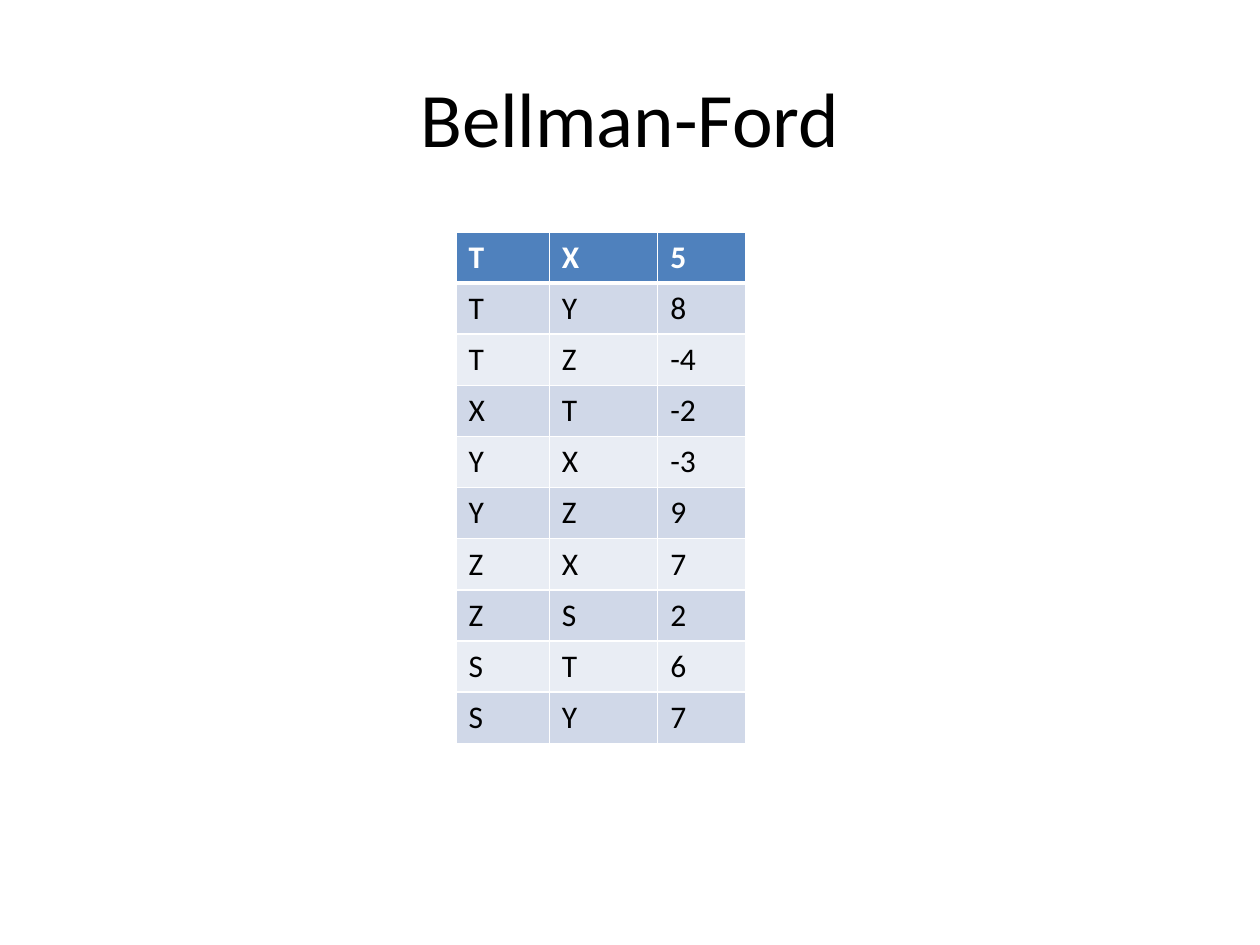
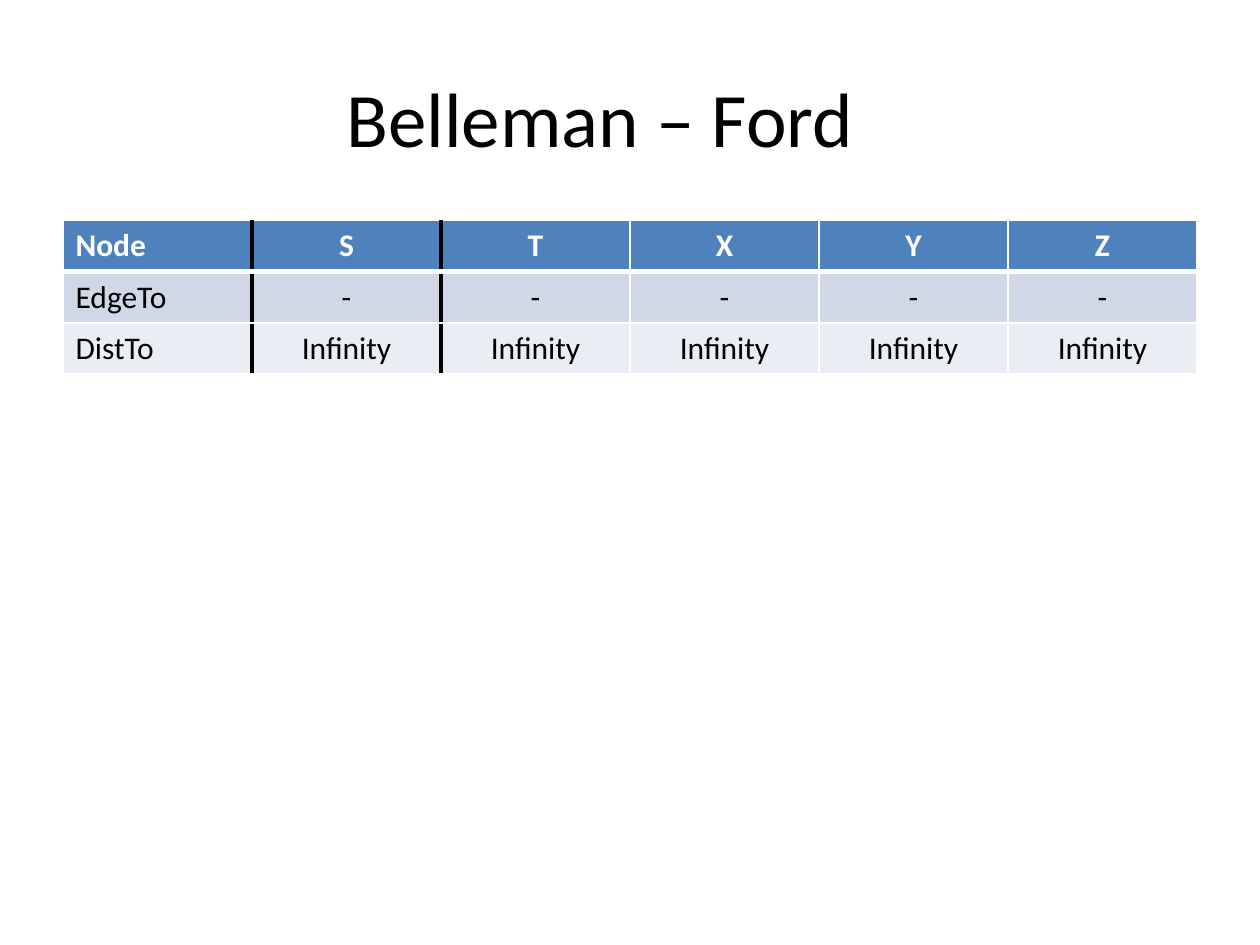
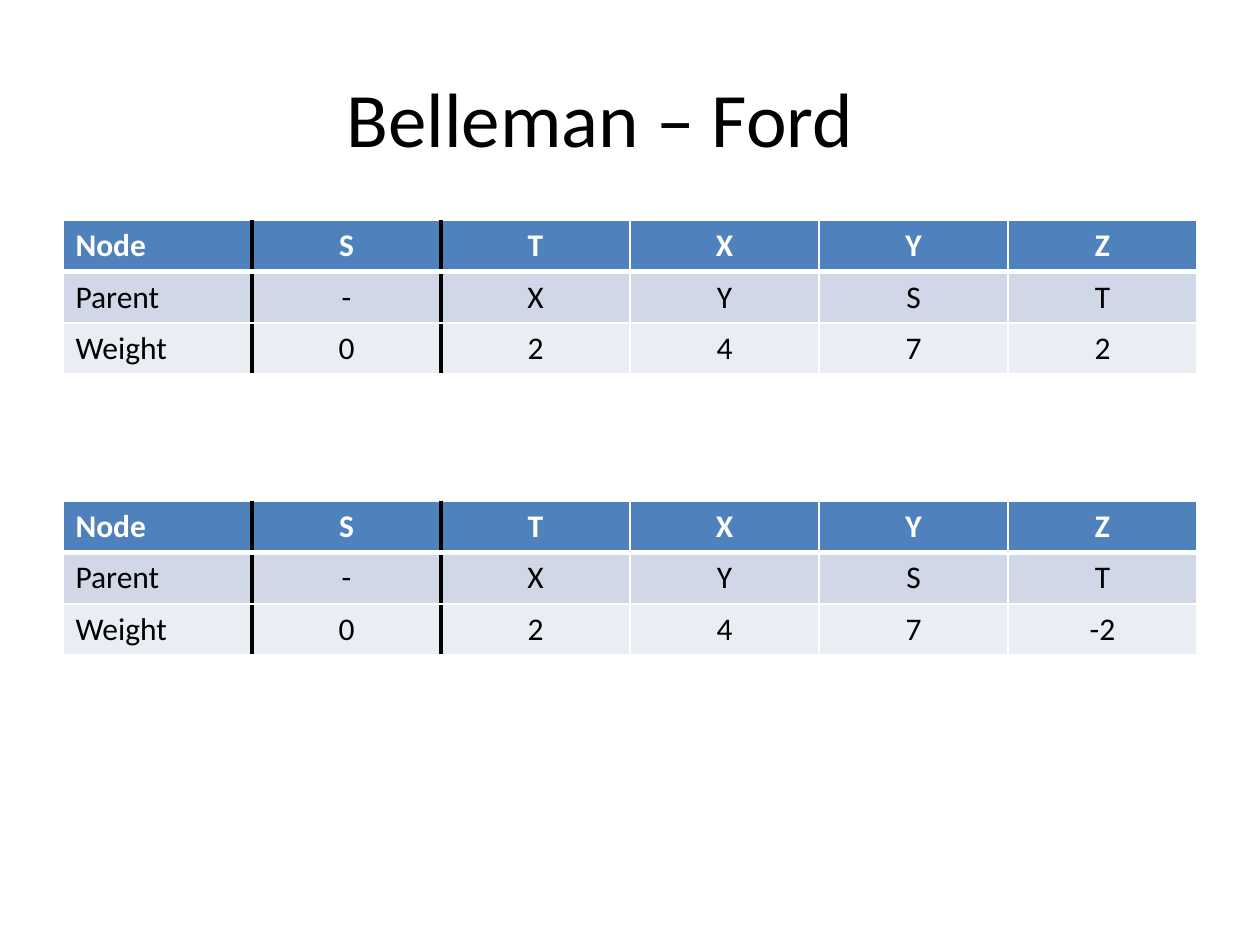
from dataclasses import dataclass

from lxml import etree
from pptx import Presentation
from pptx import util as u
from pptx.dml.color import RGBColor
from pptx.enum import text
from pptx.oxml import ns


@dataclass(frozen=True)
class Theme:
    font: str = "Calibri"
    title_size: int = 44
    table_size: int = 18
    ink: str = "000000"
    paper: str = "FFFFFF"
    header: str = "4F81BD"
    bands: tuple = ("D0D8E8", "E9EDF4")
    thin: int = 1
    thick: int = 3


@dataclass(frozen=True)
class Box:
    left: float
    top: float
    width: float
    height: float

    def lengths(self):
        return [u.Inches(value) for value in (self.left, self.top, self.width, self.height)]


THEME = Theme()
TITLE_BOX = Box(0.5, 0.3, 9, 1.25)
EDGE_BOX = Box(3.62, 1.84, 2.3, 4.06)
NODE_BOX = Box(0.5, 1.75, 9, 1.22)
LOWER_NODE_BOX = Box(0.5, 3.98, 9, 1.22)

EDGES = ["TX5", "TY8", ("T", "Z", "-4"), ("X", "T", "-2"), ("Y", "X", "-3"),
         "YZ9", "ZX7", "ZS2", "ST6", "SY7"]
NODES = ["Node", *"STXYZ"]
PARENTS = ["Parent", *"-XYST"]
START = [NODES, ["EdgeTo"] + ["-"] * 5, ["DistTo"] + ["Infinity"] * 5]
FIRST_PASS = [NODES, PARENTS, ["Weight", *"02472"]]
SECOND_PASS = [NODES, PARENTS, ["Weight", *"0247", "-2"]]


def set_values(target, values):
    for name, value in values.items():
        setattr(target, name, value)


def format_paragraph(paragraph, size, color, bold=False, align=text.PP_ALIGN.LEFT):
    paragraph.alignment = align
    set_values(paragraph.runs[0].font, {"name": THEME.font, "size": u.Pt(size), "bold": bold})
    paragraph.runs[0].font.color.rgb = RGBColor.from_string(color)


def set_border(cell, side, color, width):
    properties = cell._tc.get_or_add_tcPr()
    line = etree.SubElement(properties, ns.qn(f"a:ln{side}"), w=str(u.Pt(width)))
    fill = etree.SubElement(line, ns.qn("a:solidFill"))
    etree.SubElement(fill, ns.qn("a:srgbClr"), val=color)


def format_cell(cell, row, column, centered, ruled_edges):
    is_header = row == 0
    thin, thick = (THEME.paper, THEME.thin), (THEME.paper, THEME.thick)
    rule = (THEME.ink, THEME.thick)
    borders = {
        "L": rule if column in ruled_edges else thin,
        "R": rule if column + 1 in ruled_edges else thin,
        "T": thick if row == 1 else thin,
        "B": thick if is_header else thin,
    }
    for side, (color, width) in borders.items():
        set_border(cell, side, color, width)
    cell.fill.solid()
    fill = THEME.header if is_header else THEME.bands[(row - 1) % 2]
    cell.fill.fore_color.rgb = RGBColor.from_string(fill)
    align = text.PP_ALIGN.CENTER if centered else text.PP_ALIGN.LEFT
    format_paragraph(cell.text_frame.paragraphs[0], THEME.table_size,
                     THEME.paper if is_header else THEME.ink, is_header, align)


def add_grid(slide, box, rows, widths, center_values=False, ruled_edges=()):
    table = slide.shapes.add_table(len(rows), len(widths), *box.lengths()).table
    for column, width in zip(table.columns, widths):
        column.width = u.Inches(width)
    for row, values in enumerate(rows):
        table.rows[row].height = u.Inches(box.height / len(rows))
        for column, value in enumerate(values):
            cell = table.cell(row, column)
            cell.text = value
            format_cell(cell, row, column, center_values and column > 0, ruled_edges)


def add_edge_table(slide, box):
    add_grid(slide, box, EDGES, [0.74, 0.86, 0.7])


def add_node_table(slide, box, rows):
    widths = [box.width / len(NODES)] * len(NODES)
    add_grid(slide, box, rows, widths, center_values=True, ruled_edges=(1, 2))


def add_titled_slide(presentation, title, box=TITLE_BOX):
    slide = presentation.slides.add_slide(presentation.slide_layouts.get_by_name("Title Only"))
    shape = slide.shapes.title
    set_values(shape, dict(zip(("left", "top", "width", "height"), box.lengths())))
    shape.text_frame.text = title
    shape.text_frame.vertical_anchor = text.MSO_ANCHOR.MIDDLE
    format_paragraph(shape.text_frame.paragraphs[0], THEME.title_size, THEME.ink,
                     align=text.PP_ALIGN.CENTER)
    return slide


def add_edge_slide(presentation):
    add_edge_table(add_titled_slide(presentation, "Bellman-Ford"), EDGE_BOX)


def add_node_slide(presentation, tables):
    slide = add_titled_slide(presentation, "Belleman – Ford \t")
    for box, rows in tables:
        add_node_table(slide, box, rows)


def main():
    presentation = Presentation()
    set_values(presentation, {"slide_width": u.Inches(10), "slide_height": u.Inches(7.5)})
    add_edge_slide(presentation)
    add_node_slide(presentation, [(NODE_BOX, START)])
    add_node_slide(presentation, [(NODE_BOX, FIRST_PASS), (LOWER_NODE_BOX, SECOND_PASS)])
    presentation.save("out.pptx")


main()
